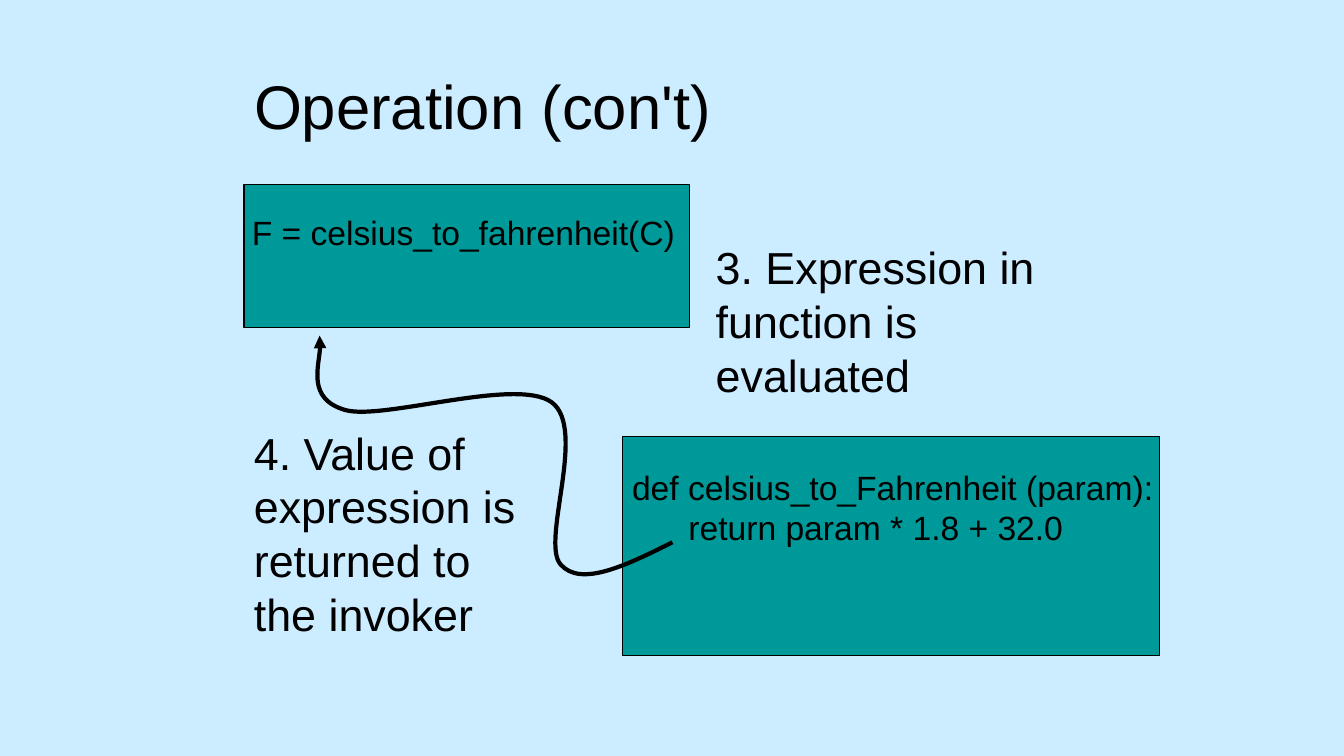
from lxml import etree
from pptx import Presentation
from pptx import util as u
from pptx.dml.color import RGBColor
from pptx.enum import shapes, text
from pptx.oxml import ns

COLORS = {"background": "CCECFF", "code_box": "009999", "ink": "000000"}


def write(frame, content, size=32, anchor=text.MSO_ANCHOR.TOP, top_inset=0.05, indents=(0,)):
    """Fill a text frame, one paragraph per line, each with its own left indent."""
    frame.word_wrap = True
    frame.vertical_anchor = anchor
    frame.margin_top = u.Inches(top_inset)
    frame.text = content
    for paragraph, indent in zip(frame.paragraphs, indents):
        paragraph.alignment = text.PP_ALIGN.LEFT
        properties = paragraph._p.get_or_add_pPr()
        properties.set("marL", str(u.Inches(indent)))
        properties.set("indent", "0")
        paragraph.font.name = "Arial"
        paragraph.font.size = u.Pt(size)
        paragraph.font.color.rgb = RGBColor.from_string(COLORS["ink"])


prs = Presentation()
prs.slide_width, prs.slide_height = u.Inches(13.33), u.Inches(7.5)
slide = prs.slides.add_slide(prs.slide_layouts[5])
slide.background.fill.solid()
slide.background.fill.fore_color.rgb = RGBColor.from_string(COLORS["background"])

# Title
title = slide.shapes.title
title.left, title.top = u.Inches(2.42), u.Inches(0.42)
title.width, title.height = u.Inches(8.5), u.Inches(1.25)
write(title.text_frame, "Operation (con't)", size=44, anchor=text.MSO_ANCHOR.MIDDLE)

# Numbered steps
steps = [
    ("3. Expression in function is evaluated", (7, 2.33, 4.08, 1.72)),
    ("4. Value of expression is returned to the invoker", (2.42, 4.17, 3, 2.26)),
]
for step, place in steps:
    step_box = slide.shapes.add_textbox(*map(u.Inches, place))
    write(step_box.text_frame, step)

# Code boxes: caller and function, each a panel with its code on top
code_boxes = [
    ("F = celsius_to_fahrenheit(C)",
     (2.42, 1.83, 4.42, 1.42), (2.17, 2, 5, 0.88), 0.1, (0.23,)),
    ("def celsius_to_Fahrenheit (param):\nreturn param * 1.8 + 32.0",
     (6.17, 4.33, 5.33, 2.17), (6.17, 4.58, 5.42, 0.91), 0.05, (0, 0.56)),
]
for code, panel_place, code_place, top_inset, indents in code_boxes:
    panel = slide.shapes.add_shape(shapes.MSO_SHAPE.RECTANGLE, *map(u.Inches, panel_place))
    panel.shadow.inherit = False
    panel.fill.solid()
    panel.fill.fore_color.rgb = RGBColor.from_string(COLORS["code_box"])
    panel.line.color.rgb = RGBColor.from_string(COLORS["ink"])
    panel.line.width = u.Pt(0.75)
    code_text = slide.shapes.add_textbox(*map(u.Inches, code_place))
    write(code_text.text_frame, code, size=24, top_inset=top_inset, indents=indents)

# Return arrow: start point, then three Bezier points per curve
return_start = (6.67, 5.38)
return_curves = [
    (6.21, 5.61), (5.76, 5.83), (5.56, 5.6),
    (5.36, 5.37), (5.83, 4.25), (5.47, 3.99),
    (5.12, 3.74), (3.81, 4.17), (3.43, 4.07),
    (3.04, 3.96), (3.21, 3.46), (3.17, 3.33),
]
# The builder rounds to whole units, so it is given lengths in EMU
builder = slide.shapes.build_freeform(*map(u.Inches, return_start))
builder.add_line_segments([(u.Inches(x), u.Inches(y)) for x, y in return_curves], close=False)
return_arrow = builder.convert_to_shape()
return_arrow.shadow.inherit = False
return_arrow.fill.background()
return_arrow.line.color.rgb = RGBColor.from_string(COLORS["ink"])
return_arrow.line.width = u.Pt(3)

# Join every three straight segments into one cubic curve
segments = list(return_arrow._element.iter(ns.qn("a:lnTo")))
outline = segments[0].getparent()
for first in range(0, len(segments), 3):
    curve = etree.SubElement(outline, ns.qn("a:cubicBezTo"))
    for segment in segments[first:first + 3]:
        curve.append(segment[0])
        outline.remove(segment)

arrow_line = return_arrow.line._get_or_add_ln()
etree.SubElement(arrow_line, ns.qn("a:tailEnd"), type="triangle")

prs.save("out.pptx")
